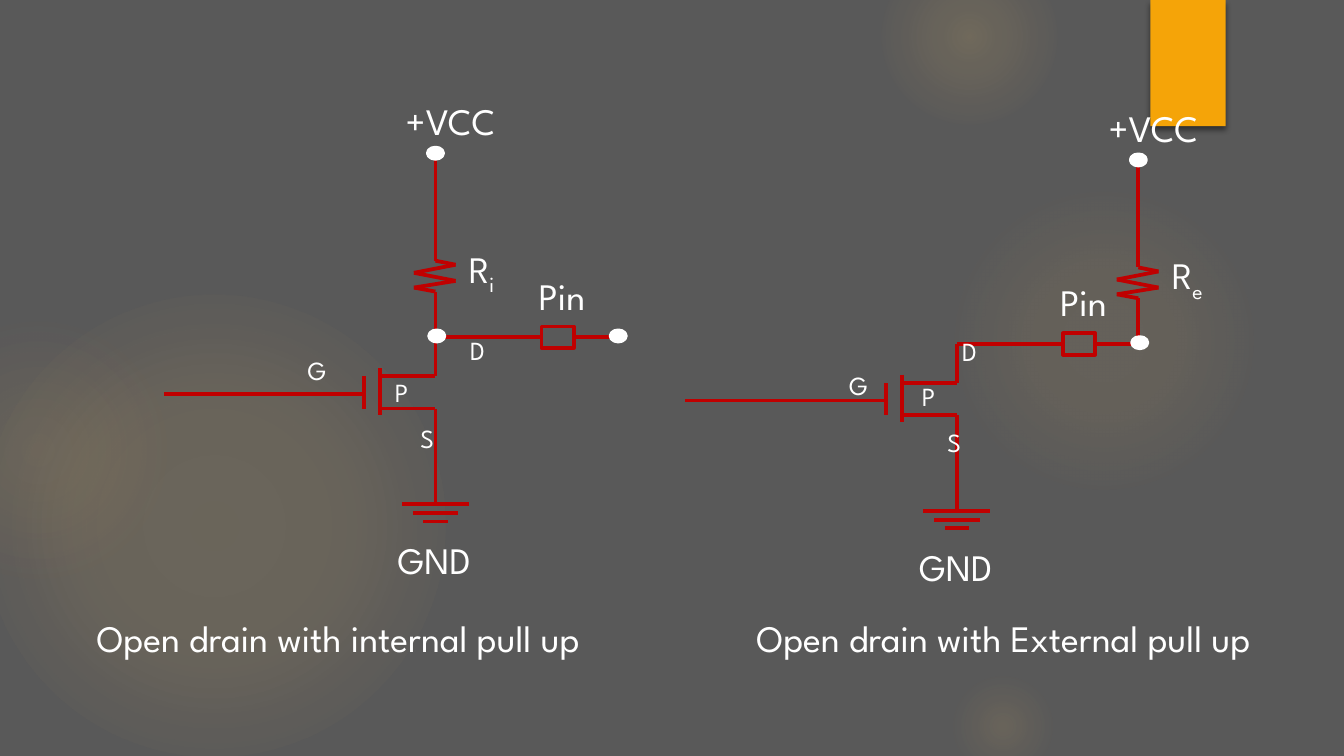
"""Build a slide comparing open drain outputs with internal and external pull-ups."""
import itertools
from dataclasses import dataclass

import lxml.etree
import pptx
import pptx.dml.color
import pptx.enum.shapes
import pptx.enum.text
import pptx.oxml
import pptx.oxml.ns
import pptx.util

Inches = pptx.util.Inches
Shapes = pptx.enum.shapes.MSO_SHAPE
qn = pptx.oxml.ns.qn


@dataclass(frozen=True)
class Theme:
    background: str = "595959"
    accent: str = "F5A408"
    glow: str = "FAC96A"
    warm_glow: str = "F59B74"
    wire: str = "C00000"
    text: str = "FFFFFF"
    font: str = "League Spartan"
    label_size: int = 20
    terminal_size: int = 14
    wire_width: float = 2
    dot_width: float = 2.25


class Sketch:
    def __init__(self, theme, page):
        self.theme = theme
        self.page = page
        page.background.fill.solid()
        page.background.fill.fore_color.rgb = self.color(theme.background)

    def color(self, value):
        return pptx.dml.color.RGBColor.from_string(value)

    def shape(self, kind, left, top, width, height, fill=None, line=None, line_width=0):
        box = self.page.shapes.add_shape(
            kind, Inches(left), Inches(top), Inches(width), Inches(height))
        box.shadow.inherit = False
        if fill:
            box.fill.solid()
            box.fill.fore_color.rgb = self.color(fill)
        else:
            box.fill.background()
        if line:
            box.line.color.rgb = self.color(line)
            box.line.width = pptx.util.Pt(line_width)
        else:
            box.line.fill.background()
        return box

    def glow(self, left, top, size, stops):
        circle = self.shape(Shapes.OVAL, left, top, size, size)
        stop_xml = "".join(
            f'<a:gs pos="{position * 1000}"><a:srgbClr val="{color}">'
            f'<a:alpha val="{alpha * 1000}"/></a:srgbClr></a:gs>'
            for position, color, alpha in stops)
        gradient = pptx.oxml.parse_xml(
            f'<a:gradFill {pptx.oxml.ns.nsdecls("a")}><a:gsLst>{stop_xml}</a:gsLst>'
            '<a:path path="circle"><a:fillToRect l="50000" t="50000" r="50000" b="50000"/>'
            '</a:path></a:gradFill>')
        properties = circle._element.spPr
        properties.replace(properties.find(qn("a:noFill")), gradient)

    def tab(self, left, top, width, height):
        box = self.shape(Shapes.RECTANGLE, left, top, width, height, self.theme.accent)
        effects = box._element.spPr.find(qn("a:effectLst"))
        shadow = lxml.etree.SubElement(
            effects, qn("a:outerShdw"), blurRad="38100", dist="25400", dir="5400000")
        shade = lxml.etree.SubElement(shadow, qn("a:srgbClr"), val="000000")
        lxml.etree.SubElement(shade, qn("a:alpha"), val="45000")

    def wire(self, start, end, group=None):
        holder = group or self.page
        line = holder.shapes.add_connector(
            pptx.enum.shapes.MSO_CONNECTOR.STRAIGHT, *map(Inches, (*start, *end)))
        line.line.color.rgb = self.color(self.theme.wire)
        line.line.width = pptx.util.Pt(self.theme.wire_width)
        lxml.etree.SubElement(line._element.spPr, qn("a:effectLst"))
        return line

    def dot(self, x, y, width=0.11, height=0.08):
        self.shape(Shapes.OVAL, x - width / 2, y - height / 2, width, height,
                   self.theme.text, self.theme.text, self.theme.dot_width)

    def text(self, words, left, top, width, size=None, subscript=""):
        size = size or self.theme.label_size
        height = 0.44 if size == self.theme.label_size else 0.34
        box = self.page.shapes.add_textbox(
            Inches(left), Inches(top), Inches(width), Inches(height))
        box.text_frame.word_wrap = False
        box.text_frame.auto_size = pptx.enum.text.MSO_AUTO_SIZE.SHAPE_TO_FIT_TEXT
        para = box.text_frame.paragraphs[0]
        for part in filter(None, (words, subscript)):
            span = para.add_run()
            span.text = part
            span.font.name = self.theme.font
            span.font.size = pptx.util.Pt(size)
            span.font.color.rgb = self.color(self.theme.text)
        if subscript:
            span._r.get_or_add_rPr().set("baseline", "-25000")

    def transistor(self, x, y):
        plate, gate = x - 0.41, x - 0.53
        drain, source, ground = y + 0.29, y + 0.53, y + 1.24
        self.wire((plate, y + 0.23), (plate, y + 0.58))
        self.wire((gate, drain), (gate, source))
        self.wire((gate, y + 0.42), (x - 2.02, y + 0.42))
        for level in (drain, source):
            self.wire((plate, level), (x, level))
        self.wire((x, y), (x, drain))
        self.wire((x, source), (x, ground - 0.13))
        group = self.page.shapes.add_group_shape()
        self.wire((x, ground - 0.13), (x, ground), group)
        for drop, half in ((0, 0.25), (0.07, 0.17), (0.13, 0.09)):
            self.wire((x - half, ground + drop), (x + half, ground + drop), group)
        self.text("GND", x - 0.38, y + 1.44, 0.86)

    def output_pin(self, x, y):
        pin = self.shape(Shapes.RECTANGLE, x + 0.79, y - 0.08, 0.24, 0.16,
                         line=self.theme.wire, line_width=self.theme.wire_width)
        self.wire((x, y), (x + 0.79, y)).end_connect(pin, 1)
        self.wire((x + 1.03, y), (x + 1.3, y)).begin_connect(pin, 3)
        self.text("Pin", x + 0.67, y - 0.53, 0.6)

    def pull_up(self, x, y, subscript, label_width):
        self.wire((x, y), (x, y + 0.8))
        self.wire((x, y + 1.05), (x, y + 1.39))
        zigzag = ((0, 0.77), (0, 0.8), (0.15, 0.83), (-0.16, 0.89),
                  (0.15, 0.95), (-0.16, 1), (0, 1.03), (0, 1.06))
        points = [(x + across, y + down) for across, down in zigzag]
        group = self.page.shapes.add_group_shape()
        for start, end in itertools.pairwise(points):
            self.wire(start, end, group)
        self.dot(x, y)
        self.text("R", x + 0.15, y + 0.64, label_width, subscript=subscript)
        self.text("+VCC", x - 0.32, y - 0.46, 1.02)


def main():
    theme = Theme()
    deck = pptx.Presentation()
    deck.slide_width = Inches(10)
    deck.slide_height = Inches(10 * 9 / 16)
    sketch = Sketch(theme, deck.slides.add_slide(deck.slide_layouts[6]))

    glow, warm = theme.glow, theme.warm_glow
    for left, top, size, stops in (
        (-0.13, 2.19, 3.44, ((0, glow, 11), (36, glow, 10), (75, glow, 0))),
        (-0.69, 2.38, 1.94, ((0, glow, 8), (36, glow, 5), (71, warm, 0))),
        (7.06, 1.38, 2.31, ((0, glow, 7), (36, glow, 6), (69, glow, 0))),
        (6.56, -0.38, 1.31, ((0, glow, 14), (36, glow, 7), (73, glow, 0))),
        (7.06, 5, 0.81, ((0, glow, 10), (31, glow, 5), (66, glow, 0))),
    ):
        sketch.glow(left, top, size, stops)
    sketch.tab(8.56, 0, 0.56, 0.94)

    for x, y in ((3.24, 2.51), (7.12, 2.56)):
        sketch.transistor(x, y)
        sketch.output_pin(x, y)
    sketch.pull_up(3.24, 1.14, "i", 0.41)
    sketch.pull_up(8.47, 1.19, "e", 0.49)
    for x, y in ((3.25, 2.5), (4.6, 2.5), (8.48, 2.55)):
        sketch.dot(x, y)

    sketch.text("Open drain with internal pull up", 0.62, 4.53, 4.47)
    sketch.text("Open drain with External pull up", 5.53, 4.53, 4.53)
    for letter, width, *corners in (
        ("G", 0.37, (2.19, 2.59), (6.22, 2.7)),
        ("S", 0.3, (3.03, 3.09), (6.95, 3.12)),
        ("D", 0.35, (3.4, 2.44), (7.06, 2.45)),
        ("P", 0.32, (2.84, 2.75), (6.76, 2.78)),
    ):
        for left, top in corners:
            sketch.text(letter, left, top, width, theme.terminal_size)

    deck.save("out.pptx")


if __name__ == "__main__":
    main()
